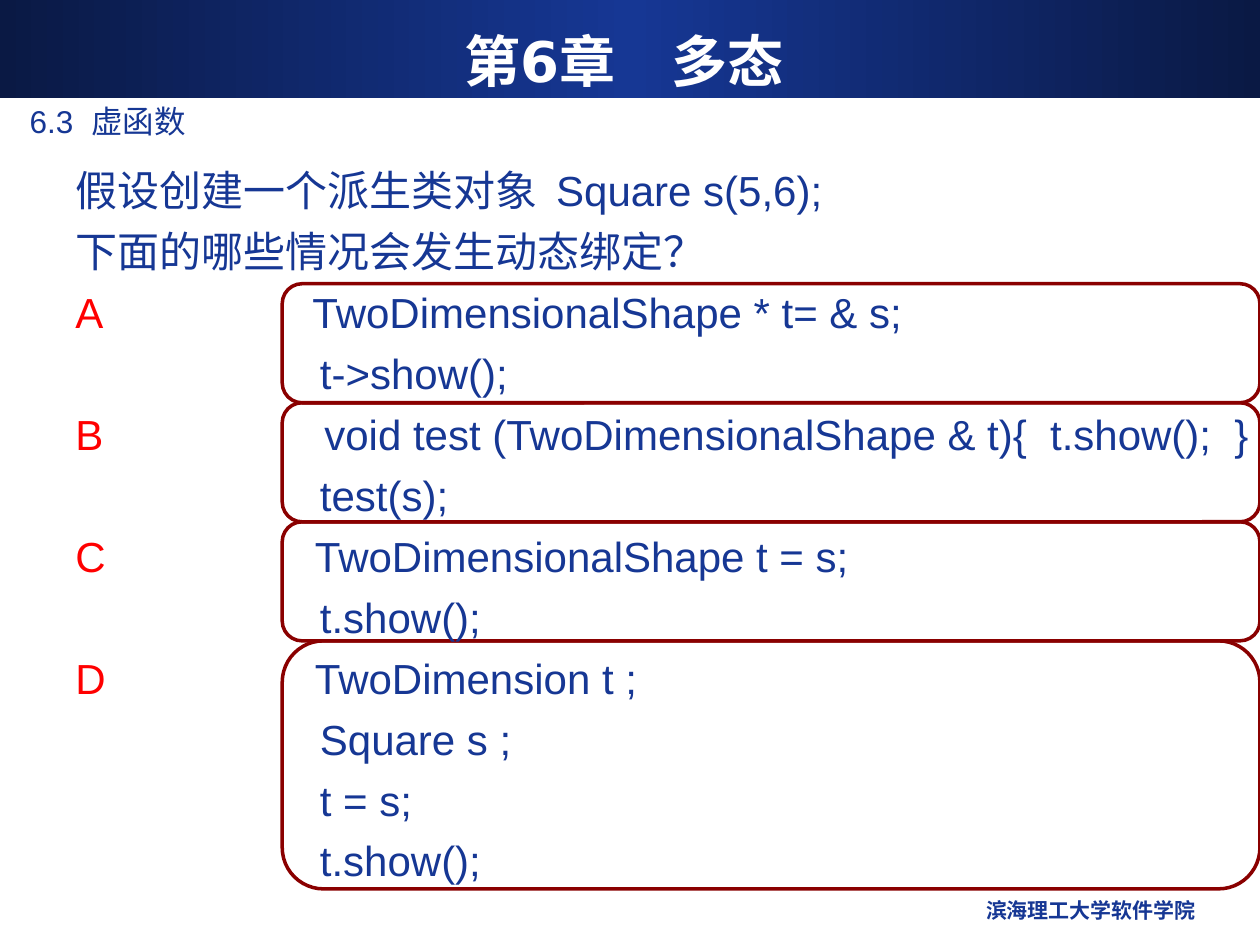
from copy import deepcopy
from dataclasses import dataclass

from pptx import Presentation
from pptx.dml.color import RGBColor
from pptx.enum.shapes import MSO_SHAPE
from pptx.enum.text import MSO_ANCHOR, PP_ALIGN
from pptx.util import Cm, Pt


@dataclass(frozen=True)
class Theme:
    """Colours, fonts and type sizes of the slide."""

    navy: RGBColor = RGBColor(0x0A, 0x19, 0x44)
    blue: RGBColor = RGBColor(0x16, 0x37, 0x94)
    red: RGBColor = RGBColor(0xFF, 0x00, 0x00)
    maroon: RGBColor = RGBColor(0x8A, 0x00, 0x00)
    white: RGBColor = RGBColor(0xFF, 0xFF, 0xFF)
    title_font: str = "DejaVu Sans"
    text_font: str = "Arial"
    title_size: Pt = Pt(32)
    question_size: Pt = Pt(24)
    section_size: Pt = Pt(18)
    footer_size: Pt = Pt(12)


THEME = Theme()
CODE_INDENT = 4.93
QUESTION = (
    "假设创建一个派生类对象  Square s(5,6);",
    "下面的哪些情况会发生动态绑定？",
)
OPTIONS = (
    ("A", 4.78, ("TwoDimensionalShape * t= & s;", "t->show();")),
    ("B", 5.02, ("void test (TwoDimensionalShape & t){  t.show();  }", "test(s);")),
    ("C", 4.83, ("TwoDimensionalShape t = s;", "t.show();")),
    ("D", 4.83, ("TwoDimension t ;", "Square s ;", "t = s;", "t.show();")),
)


def add_run(paragraph, text, size, color=THEME.blue, bold=False, font=THEME.text_font):
    """Append one formatted run to a paragraph."""
    run = paragraph.add_run()
    run.text = text
    run.font.name = font
    run.font.size = size
    run.font.bold = bold
    run.font.color.rgb = color


def add_text_frame(slide, left, top, width, height):
    """Add a wrapping text box and return its text frame."""
    frame = slide.shapes.add_textbox(Cm(left), Cm(top), Cm(width), Cm(height)).text_frame
    frame.word_wrap = True
    return frame


def set_indent(paragraph, margin, first_line=0):
    """Set the left margin and the first-line indent in centimetres."""
    properties = paragraph._p.get_or_add_pPr()
    properties.set("marL", str(Cm(margin)))
    properties.set("indent", str(Cm(first_line)))


def add_band(slide):
    """Draw the gradient band behind the title."""
    band = slide.shapes.add_shape(MSO_SHAPE.RECTANGLE, 0, 0, Cm(25.4), Cm(1.98))
    band.shadow.inherit = False
    band.line.fill.background()
    band.fill.gradient()
    band.fill.gradient_angle = 0
    stops = band.fill.gradient_stops
    first_stop = stops[0]._gs
    first_stop.addnext(deepcopy(first_stop))
    colors = (THEME.navy, THEME.blue, THEME.navy)
    for stop, position, color in zip(band.fill.gradient_stops, (0, 0.5, 1), colors):
        stop.position = position
        stop.color.rgb = color
    slide.shapes.title.element.addprevious(band.element)


def add_title(slide, text):
    """Place and format the title placeholder."""
    title = slide.shapes.title
    title.left, title.top, title.width, title.height = Cm(0.84), Cm(0.43), Cm(23.5), Cm(1.57)
    frame = title.text_frame
    frame.vertical_anchor = MSO_ANCHOR.MIDDLE
    paragraph = frame.paragraphs[0]
    paragraph.alignment = PP_ALIGN.CENTER
    add_run(paragraph, text, THEME.title_size, THEME.white, True, THEME.title_font)


def add_option_frames(slide):
    """Draw one rounded frame per option, the last one at the back."""
    pitch = 2.4
    for index in reversed(range(len(OPTIONS))):
        height = 5 if index == len(OPTIONS) - 1 else pitch
        frame = slide.shapes.add_shape(
            MSO_SHAPE.ROUNDED_RECTANGLE,
            Cm(5.69), Cm(5.72 + index * pitch), Cm(19.71), Cm(height),
        )
        frame.shadow.inherit = False
        frame.fill.solid()
        frame.fill.fore_color.rgb = THEME.white
        frame.line.color.rgb = THEME.maroon
        frame.line.width = Pt(2)


def add_line(frame):
    """Return the next evenly spaced paragraph of the question."""
    first = frame.paragraphs[0]
    paragraph = frame.add_paragraph() if first.runs else first
    paragraph.space_before = Pt(6)
    paragraph.line_spacing = Pt(28.8)
    return paragraph


def add_question(slide):
    """Write the question and its lettered code options."""
    frame = add_text_frame(slide, 1.27, 3.2, 25.22, 14.58)
    for text in QUESTION:
        add_run(add_line(frame), text, THEME.question_size)
    for letter, lead_indent, code in OPTIONS:
        lead = add_line(frame)
        set_indent(lead, lead_indent, -lead_indent)
        add_run(lead, letter, THEME.question_size, THEME.red)
        add_run(lead, "\t" + code[0], THEME.question_size)
        for statement in code[1:]:
            line = add_line(frame)
            set_indent(line, CODE_INDENT)
            add_run(line, statement, THEME.question_size)


def add_footer(slide, text):
    """Write the school name at the bottom right."""
    paragraph = add_text_frame(slide, 16.31, 17.96, 8.05, 0.89).paragraphs[0]
    paragraph.alignment = PP_ALIGN.RIGHT
    add_run(paragraph, text, THEME.footer_size, bold=True)


def add_section(slide, text):
    """Write the section heading below the band."""
    paragraph = add_text_frame(slide, 0, 1.93, 23.5, 1.04).paragraphs[0]
    set_indent(paragraph, 0.35)
    add_run(paragraph, text, THEME.section_size)


def main():
    """Build and save the slide."""
    presentation = Presentation()
    presentation.slide_width, presentation.slide_height = Cm(25.4), Cm(19.05)
    slide = presentation.slides.add_slide(presentation.slide_layouts[5])
    add_band(slide)
    add_title(slide, "第6章　多态")
    add_option_frames(slide)
    add_question(slide)
    add_footer(slide, "滨海理工大学软件学院")
    add_section(slide, "6.3  虚函数")
    presentation.save("out.pptx")


if __name__ == "__main__":
    main()
